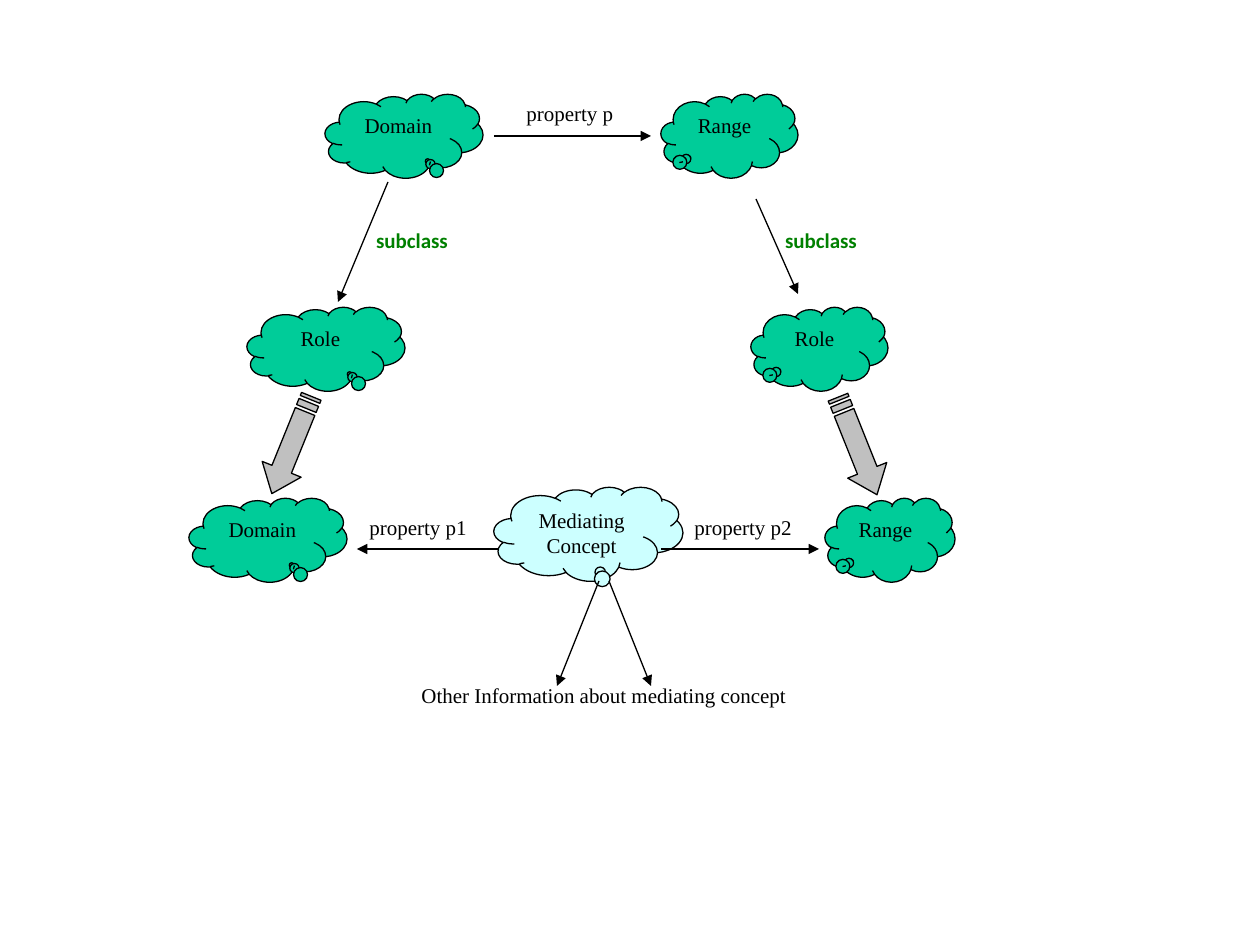
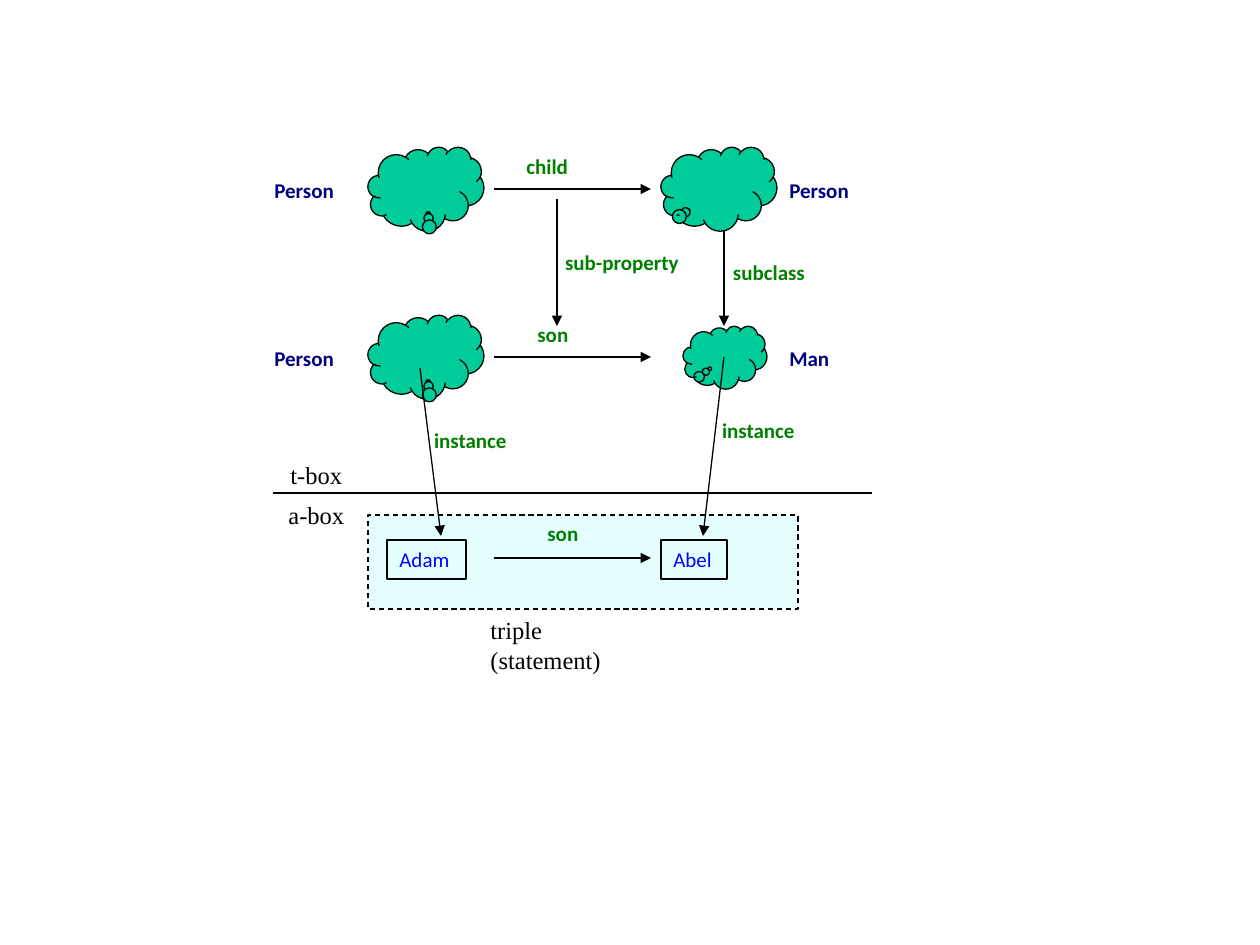
from lxml.etree import SubElement
from pptx import Presentation
from pptx.dml.color import RGBColor
from pptx.enum.dml import MSO_LINE
from pptx.enum.shapes import MSO_CONNECTOR, MSO_SHAPE
from pptx.enum.text import MSO_ANCHOR, MSO_AUTO_SIZE, PP_ALIGN
from pptx.oxml.ns import qn
from pptx.util import Pt

EMU_PER_PX = 914400 / 126
COLORS = {
    "black": "000000", "white": "FFFFFF", "concept": "00CC99",
    "mediator": "CCFFFF", "transfer": "C0C0C0",
    "relation": "008000", "class": "000080", "individual": "0000FF",
}
SERIF, SANS = "Times New Roman", "Calibri"
# Text styles: font, size, colour, bold
PLAIN = (SERIF, 12, "black", False)
NOTE = (SERIF, 14, "black", False)
RELATION = (SANS, 12, "relation", True)
CLASS = (SANS, 12, "class", True)
INDIVIDUAL = (SANS, 12, "individual", False)
# Cloud tails: down to the right, down to the left, straight down
TAIL_RIGHT, TAIL_LEFT, TAIL_DOWN = (0.15, 0.3), (-0.3, 0.26), (0.02, 0.3)


def px(*lengths):
    return [round(length * EMU_PER_PX) for length in lengths]


def rgb(name):
    return RGBColor.from_string(COLORS[name])


def outline(item):
    item.line.color.rgb = rgb("black")
    item.line.width = Pt(0.75)


def paint(shape, fill=None):
    shape.shadow.inherit = False
    if fill:
        shape.fill.solid()
        shape.fill.fore_color.rgb = rgb(fill)
    else:
        shape.fill.background()
    outline(shape)


def write(shape, text, style, align=PP_ALIGN.LEFT, wrap=True):
    frame = shape.text_frame
    frame.word_wrap = wrap
    frame.vertical_anchor = MSO_ANCHOR.TOP
    paragraph = frame.paragraphs[0]
    paragraph.alignment = align
    run = paragraph.add_run()
    run.text = text
    font = run.font
    font.name, size, color, font.bold = style
    font.size = Pt(size)
    font.color.rgb = rgb(color)


def cloud(slide, box, tail, text="", fill="concept"):
    shape = slide.shapes.add_shape(MSO_SHAPE.CLOUD_CALLOUT, *px(*box))
    shape.adjustments[0], shape.adjustments[1] = tail
    paint(shape, fill)
    if text:
        write(shape, text, PLAIN, PP_ALIGN.CENTER)


def line(slide, start, end, arrow=True):
    connector = slide.shapes.add_connector(
        MSO_CONNECTOR.STRAIGHT, *px(*start, *end))
    outline(connector)
    properties = connector._element.spPr
    if arrow:
        SubElement(properties.find(qn("a:ln")), qn("a:tailEnd"), type="triangle")
    SubElement(properties, qn("a:effectLst"))


def label(slide, box, text, style, wrap=True, indent=0):
    """Free text; an indented label also sits slightly lower."""
    shape = slide.shapes.add_textbox(*px(*box))
    write(shape, text, style, wrap=wrap)
    frame = shape.text_frame
    if indent:
        frame.margin_left, frame.margin_top = px(13 + indent, 8)
    else:
        frame.auto_size = MSO_AUTO_SIZE.SHAPE_TO_FIT_TEXT


def individual(slide, box, name):
    shape = slide.shapes.add_shape(MSO_SHAPE.RECTANGLE, *px(*box))
    paint(shape)
    write(shape, name, INDIVIDUAL, wrap=False)
    shape.text_frame.auto_size = MSO_AUTO_SIZE.SHAPE_TO_FIT_TEXT


def striped_arrow(slide, left, top, rotation):
    """Right arrow on a grid of 32 columns and 4 rows, then rotated."""
    stripes = [[(x1, 1), (x2, 1), (x2, 3), (x1, 3)] for x1, x2 in ((0, 1), (2, 4))]
    body = [(5, 1), (24, 1), (24, 0), (32, 2), (24, 4), (24, 3), (5, 3)]
    scale = (105 / 32 * EMU_PER_PX, 42 / 4 * EMU_PER_PX)
    builder = slide.shapes.build_freeform(*body[0], scale=scale)
    builder.add_line_segments(body[1:], close=True)
    for stripe in stripes:
        builder.move_to(*stripe[0])
        builder.add_line_segments(stripe[1:], close=True)
    shape = builder.convert_to_shape(*px(left, top))
    shape.rotation = rotation
    paint(shape, "transfer")


def statement_frame(slide, box):
    shape = slide.shapes.add_shape(MSO_SHAPE.RECTANGLE, *px(*box))
    paint(shape, "mediator")
    shape.line.dash_style = MSO_LINE.DASH
    color = shape._element.spPr.find(qn("a:solidFill"))[0]
    SubElement(color, qn("a:alpha"), val="50000")


def mediating_concept(slide):
    # Domain and range columns: concept, role, mediated concept
    for left, top, text in ((325, 94, "Domain"), (247, 307, "Role"), (189, 498, "Domain")):
        cloud(slide, (left, top, 158, 84), TAIL_RIGHT, text)
    for left, top, width, text in ((661, 94, 137, "Range"), (751, 307, 137, "Role"),
                                   (825, 498, 130, "Range")):
        cloud(slide, (left, top, width, 84), TAIL_LEFT, text)

    # Properties
    line(slide, (494, 136), (651, 136))
    line(slide, (514, 549), (357, 549))
    cloud(slide, (494, 487, 189, 94), (0.06, 0.39), "Mediating Concept", "mediator")
    line(slide, (661, 549), (819, 549))
    for left, top, text in ((514, 94, "property p"), (357, 508, "property p1"),
                            (682, 508, "property p2")):
        label(slide, (left, top, 147, 38), text, PLAIN)

    # Subclass links and transfers to the mediated concepts
    line(slide, (388, 182), (338, 302))
    line(slide, (756, 199), (798, 294))
    for left in (357, 766):
        label(slide, (left, 220, 147, 42), "subclass", RELATION, indent=6)
    striped_arrow(slide, 239, 424, 112.1)
    striped_arrow(slide, 805, 425, 68.2)

    # Further information
    line(slide, (609, 581), (651, 686))
    line(slide, (599, 581), (557, 686))
    label(slide, (409, 676, 396, 38), "Other Information about mediating concept",
          PLAIN, wrap=False)


def statement_example(slide):
    statement_frame(slide, (368, 515, 430, 94))

    # Classes
    for box, tail in (((368, 315, 116, 84), TAIL_DOWN),
                      ((683, 326, 84, 63), (-0.18, 0.18)),
                      ((368, 147, 116, 84), TAIL_DOWN),
                      ((661, 147, 116, 84), (-0.27, 0.26))):
        cloud(slide, box, tail)
    for left, top, width, text in ((262, 171, 88, "Person"), (777, 171, 88, "Person"),
                                   (262, 339, 88, "Person"), (777, 339, 66, "Man")):
        label(slide, (left, top, width, 38), text, CLASS, wrap=False)

    # Properties
    for y, left, top, text in ((189, 514, 147, "child"), (357, 525, 315, "son"),
                               (558, 535, 514, "son")):
        line(slide, (494, y), (651, y))
        label(slide, (left, top, 147, 38), text, RELATION)

    # Border between the boxes, and the individuals
    line(slide, (273, 493), (872, 493), arrow=False)
    label(slide, (278, 454, 77, 42), "t-box", NOTE, wrap=False)
    label(slide, (276, 494, 81, 42), "a-box", NOTE, wrap=False)
    label(slide, (478, 609, 193, 42), "triple (statement)", NOTE, wrap=False)
    individual(slide, (387, 540, 79, 39), "Adam")
    individual(slide, (661, 540, 66, 39), "Abel")

    # Links between the levels
    for start, end in (((420, 368), (441, 536)), ((724, 357), (703, 536)),
                       ((724, 231), (724, 326)), ((557, 199), (557, 326))):
        line(slide, start, end)
    for left, top, width, text, indent in ((714, 252, 147, "subclass", 6),
                                           (546, 242, 168, "sub-property", 6),
                                           (703, 410, 147, "instance", 6),
                                           (409, 420, 147, "instance", 12)):
        label(slide, (left, top, width, 42), text, RELATION, indent=indent)


def main():
    deck = Presentation()
    deck.slide_width, deck.slide_height = px(1260, 945)
    for draw in (mediating_concept, statement_example):
        slide = deck.slides.add_slide(deck.slide_layouts[6])
        slide.background.fill.solid()
        slide.background.fill.fore_color.rgb = rgb("white")
        draw(slide)
    deck.save("out.pptx")


if __name__ == "__main__":
    main()
